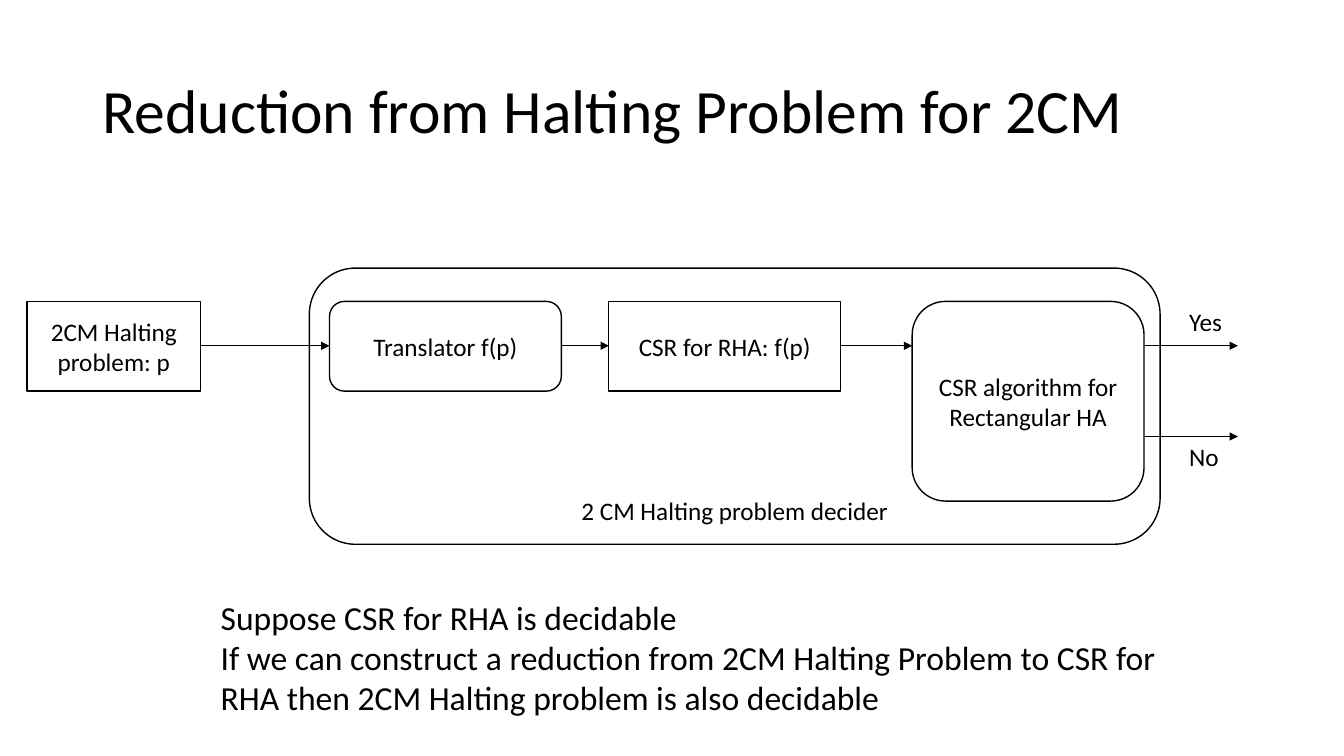
"""Build the slide on reducing the halting problem for 2CM to CSR for RHA."""
from dataclasses import dataclass

from lxml.etree import SubElement
from pptx import Presentation
from pptx.dml.color import RGBColor
from pptx.enum.shapes import MSO_CONNECTOR, MSO_SHAPE
from pptx.enum.text import MSO_ANCHOR, MSO_AUTO_SIZE, PP_ALIGN
from pptx.oxml.ns import qn
from pptx.slide import Slide
from pptx.text.text import TextFrame
from pptx.util import Pt

BLACK, WHITE = "000000", "FFFFFF"
ROUND = 0.16667
ROW_TOP, ROW_HEIGHT = 215.3, 64.1
YES_Y, NO_Y = 247, 311.8


@dataclass
class Box:
    """A rounded or square box of the diagram."""

    text: str
    left: float
    top: float
    width: float
    height: float
    corner: float = ROUND
    fill: str | None = WHITE
    anchor: MSO_ANCHOR = MSO_ANCHOR.MIDDLE

    @property
    def right(self) -> float:
        """Give the right edge."""
        return self.left + self.width


@dataclass
class Label:
    """A free text, one paragraph for each entry of lines."""

    lines: list[str]
    left: float
    top: float
    width: float
    height: float
    size: float = 18
    wrap: bool = False


DECIDER = Box("2 CM Halting problem decider", 221, 191.5, 607.7, 197.3,
              fill=None, anchor=MSO_ANCHOR.BOTTOM)
PROBLEM = Box("2CM Halting problem: p", 19.4, ROW_TOP, 123.8, ROW_HEIGHT, corner=0)
TRANSLATOR = Box("Translator f(p)", 235.4, ROW_TOP, 165.6, ROW_HEIGHT)
INSTANCE = Box("CSR for RHA: f(p)", 434.9, ROW_TOP, 165.6, ROW_HEIGHT, corner=0)
ALGORITHM = Box("CSR algorithm for Rectangular HA", 651.6, ROW_TOP, 165.6, 142.6)
CHAIN = [PROBLEM, TRANSLATOR, INSTANCE, ALGORITHM]
LABELS = [
    Label(["Yes"], 842.4, ROW_TOP, 38.2, 29),
    Label(["No"], 842.4, NO_Y, 36, 29),
    Label(
        [
            "Suppose CSR for RHA is decidable",
            "If we can construct a reduction from 2CM Halting Problem to CSR for "
            "RHA then 2CM Halting problem is also decidable",
        ],
        150.5, 422.6, 702, 94.3, size=24, wrap=True,
    ),
]


def rgb(value: str) -> RGBColor:
    """Turn a hex string into a colour."""
    return RGBColor.from_string(value)


def write(tf: TextFrame, lines: list[str], size: float, align: PP_ALIGN,
          spacing: float = 1.0) -> None:
    """Fill a text frame with formatted paragraphs."""
    for i, line in enumerate(lines):
        p = tf.add_paragraph() if i else tf.paragraphs[0]
        p.alignment, p.line_spacing = align, spacing
        r = p.add_run()
        r.text = line
        for name, value in {"name": "Calibri", "size": Pt(size)}.items():
            setattr(r.font, name, value)
        r.font.color.rgb = rgb(BLACK)


def add_title(s: Slide, text: str) -> None:
    """Place and format the title placeholder."""
    sp = s.shapes.title
    frame = {"left": 66, "top": 28.75, "width": 828, "height": 104.4}
    for name, value in frame.items():
        setattr(sp, name, Pt(value))
    sp.text_frame.vertical_anchor = MSO_ANCHOR.MIDDLE
    write(sp.text_frame, [text], 44, PP_ALIGN.LEFT, 0.9)


def add_box(s: Slide, box: Box) -> None:
    """Draw one outlined box with its text."""
    sp = s.shapes.add_shape(MSO_SHAPE.ROUNDED_RECTANGLE, Pt(box.left), Pt(box.top),
                            Pt(box.width), Pt(box.height))
    sp.shadow.inherit = False
    sp.adjustments[0] = box.corner
    if box.fill:
        sp.fill.solid()
        sp.fill.fore_color.rgb = rgb(box.fill)
    else:
        sp.fill.background()
    sp.line.color.rgb = rgb(BLACK)
    sp.line.width = Pt(1)
    tf = sp.text_frame
    for name, value in {"word_wrap": True, "vertical_anchor": box.anchor}.items():
        setattr(tf, name, value)
    write(tf, [box.text], 18, PP_ALIGN.CENTER)


def add_label(s: Slide, label: Label) -> None:
    """Draw one free text."""
    sp = s.shapes.add_textbox(Pt(label.left), Pt(label.top),
                              Pt(label.width), Pt(label.height))
    tf = sp.text_frame
    settings = {"word_wrap": label.wrap, "auto_size": MSO_AUTO_SIZE.SHAPE_TO_FIT_TEXT}
    for name, value in settings.items():
        setattr(tf, name, value)
    write(tf, label.lines, label.size, PP_ALIGN.LEFT)


def add_arrow(s: Slide, start: float, end: float, y: float) -> None:
    """Draw one level arrow pointing right."""
    line = s.shapes.add_connector(MSO_CONNECTOR.STRAIGHT, Pt(start), Pt(y), Pt(end), Pt(y))
    line.line.color.rgb = rgb(BLACK)
    line.line.width = Pt(0.5)
    SubElement(line.line._get_or_add_ln(), qn("a:tailEnd"), type="triangle")
    SubElement(line._element.spPr, qn("a:effectLst"))


def main() -> None:
    """Build and save the slide."""
    prs = Presentation()
    prs.slide_width, prs.slide_height = Pt(960), Pt(540)
    s = prs.slides.add_slide(prs.slide_layouts[5])
    add_title(s, "Reduction from Halting Problem for 2CM")
    for box in [DECIDER, *CHAIN]:
        add_box(s, box)
    for source, target in zip(CHAIN, CHAIN[1:]):
        add_arrow(s, source.right, target.left, YES_Y)
    for y in (YES_Y, NO_Y):
        add_arrow(s, ALGORITHM.right, 884.2, y)
    for label in LABELS:
        add_label(s, label)
    prs.save("out.pptx")


if __name__ == "__main__":
    main()
